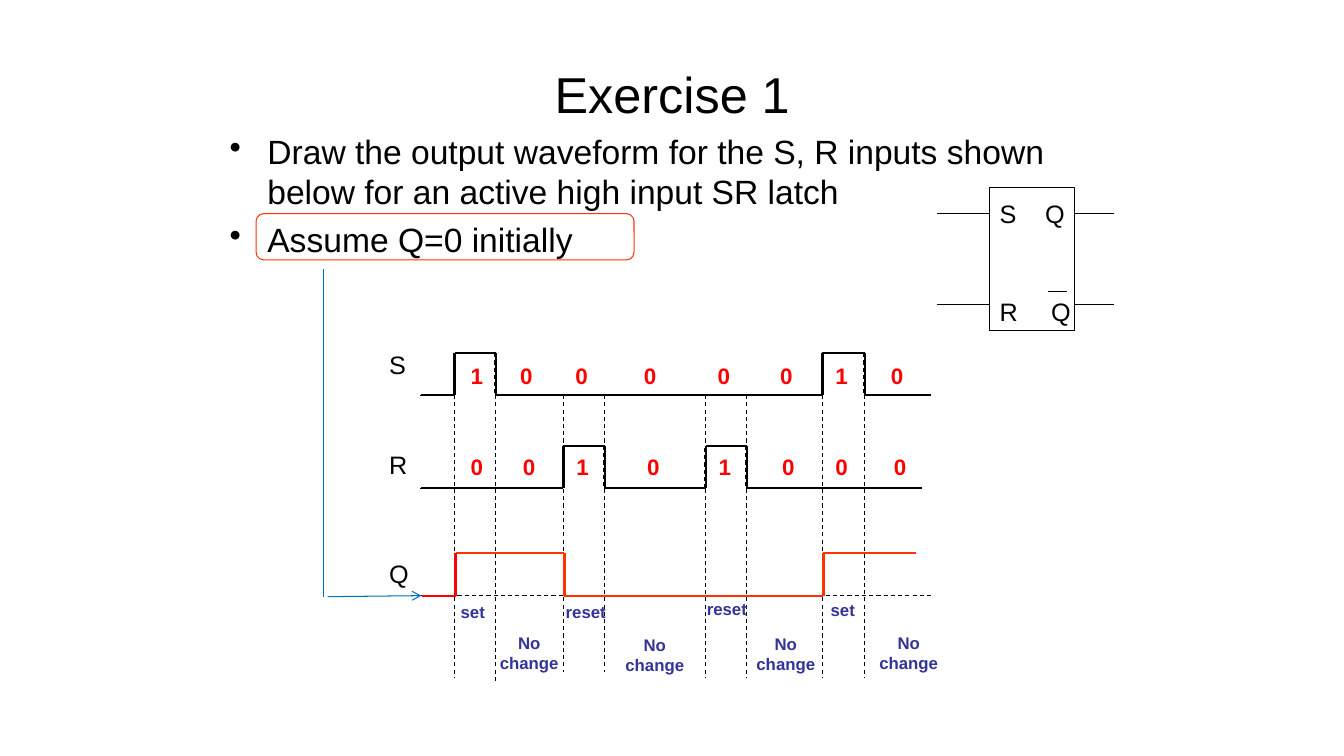
"""Builds the slide with the SR latch waveform exercise."""
from itertools import pairwise

from lxml import etree
from pptx import Presentation
from pptx.dml.color import RGBColor
from pptx.enum import dml, shapes, text
from pptx.oxml import ns
from pptx.util import Pt

BLACK, RED, ORANGE, NAVY, BLUE = "000000", "FF0000", "FF3300", "333399", "0070C0"
PULSE_HEIGHT = 30.2
EDGES = (23.7, 53.2, 101.5, 131, 203, 232.5, 286.5, 316.8)
GUIDE_ENDS = (232.6, 235.4, 228.2, 228.2, 232.6, 232.6, 232.6, 232.6)
INPUTS = (
    ("S", 30.2, "010000010", 364.3, 2.9,
     (28.1, 63.4, 103, 151.9, 204.5, 249.1, 288.7, 328.3)),
    ("R", 96.5, "000101000", 357.8, 1.9,
     (28.1, 65.5, 103.7, 154.1, 205.2, 250.6, 288.7, 330.5)),
)
OUTPUT_BASE, OUTPUT_LEVELS, OUTPUT_END = 173.5, "011000011", 352.8
STATES = (
    ("set", 36.7, 174.2), ("No change", 77, 196.6),
    ("reset", 117.4, 174.2), ("No change", 166.7, 198),
    ("reset", 218.2, 172.1), ("No change", 260.3, 197.3),
    ("set", 301, 172.8), ("No change", 348.1, 196.6),
)


def colour(code):
    """Turn a hex string into a colour."""
    return RGBColor.from_string(code)


def add_line(page, start, end, code=BLACK, weight=0.75, dashed=False, arrow=False):
    """Draw a straight line between two points."""
    line = page.shapes.add_connector(
        shapes.MSO_CONNECTOR.STRAIGHT, *(Pt(value) for value in (*start, *end)))
    line.line.color.rgb = colour(code)
    line.line.width = Pt(weight)
    if dashed:
        line.line.dash_style = dml.MSO_LINE.DASH
    properties = line._element.spPr
    if arrow:
        etree.SubElement(properties.find(ns.qn("a:ln")), ns.qn("a:tailEnd"), type="arrow")
    etree.SubElement(properties, ns.qn("a:effectLst"))


def add_text(page, box, lines, size, code=BLACK, bold=False,
             align=text.PP_ALIGN.LEFT, anchor=text.MSO_ANCHOR.TOP, bullets=False):
    """Place a wrapped text box with one paragraph for each line."""
    frame = page.shapes.add_textbox(*(Pt(value) for value in box)).text_frame
    frame.word_wrap = True
    frame.vertical_anchor = anchor
    frame.text = lines
    for index, para in enumerate(frame.paragraphs):
        para.alignment = align
        if index:
            para.space_before = Pt(5.5)
        if bullets:
            properties = para._p.get_or_add_pPr()
            properties.set("marL", str(Pt(27)))
            properties.set("indent", str(-Pt(27)))
            etree.SubElement(properties, ns.qn("a:buChar"), char="•")
        for span in para.runs:
            span.font.name = "Arial"
            span.font.size = Pt(size)
            span.font.bold = bold
            span.font.color.rgb = colour(code)


def add_outline(page, kind, box, code):
    """Draw an unfilled preset shape."""
    outline = page.shapes.add_shape(kind, *(Pt(value) for value in box))
    outline.shadow.inherit = False
    outline.fill.background()
    outline.line.color.rgb = colour(code)
    outline.line.width = Pt(0.75)
    return outline


def add_question(page, box):
    """Place the title, the task and the frame around the initial state."""
    left, top, width = box
    add_text(page, (left, top, width, 71.3), "Exercise 1", 36,
             align=text.PP_ALIGN.CENTER, anchor=text.MSO_ANCHOR.MIDDLE)
    task = ("Draw the output waveform for the S, R inputs shown below for an active "
            "high input SR latch\nAssume Q=0 initially")
    add_text(page, (left + 0.7, top + 59, width, 131.8), task, 24, bullets=True)
    frame = add_outline(page, shapes.MSO_SHAPE.ROUNDED_RECTANGLE,
                        (left + 26.7, top + 121.6, 270, 33.1), ORANGE)
    frame.adjustments[0] = 0.167


def add_wave(page, left, base, levels, end, code=BLACK, weight=1.5, dashed=False):
    """Draw a square wave that may change level at each edge."""
    stops = [left + stop for stop in (0, *EDGES, end)]
    heights = [base - PULSE_HEIGHT * int(level) for level in levels]
    for (start, stop), height in zip(pairwise(stops), heights):
        add_line(page, (start, height), (stop, height), code, weight, dashed)
    for stop, (before, after) in zip(stops[1:], pairwise(heights)):
        if before != after:
            add_line(page, (stop, before), (stop, after), code, weight, dashed)


def add_timing(page, box):
    """Draw the timing diagram with inputs, output, guides and states."""
    left, top, width = box
    for name, base, levels, end, lift, digit_lefts in INPUTS:
        add_wave(page, left - 0.7, top + base + 0.3, levels, end, weight=0.75, dashed=True)
        add_wave(page, left, top + base, levels, end)
        for digit, offset in zip(levels[1:], digit_lefts):
            add_text(page, (left + offset, top + base - PULSE_HEIGHT + lift, 19, 26.6),
                     digit, 16, RED, True)
    for name, offset in (("S", -5.8), ("R", 65.5), ("Q", 143.3)):
        add_text(page, (left - 30.2, top + offset, 29.5, 28.8), name, 18)

    base = top + OUTPUT_BASE
    add_line(page, (left, base), (left + width, base), dashed=True)
    for edge, end in zip(EDGES, GUIDE_ENDS):
        add_line(page, (left + edge, top + PULSE_HEIGHT),
                 (left + edge, top + end), dashed=True)
    add_wave(page, left + 0.7, base, OUTPUT_LEVELS, OUTPUT_END, ORANGE)
    rise = left + 0.7 + EDGES[0]
    add_line(page, (left + 0.7, base), (rise, base), RED, 1.5)
    add_line(page, (rise, base), (rise, base - PULSE_HEIGHT), RED, 1.5)
    for state, centre, offset in STATES:
        add_text(page, (left + centre - 32.5, top + offset, 65, 36), state, 12,
                 NAVY, True, text.PP_ALIGN.CENTER)


def add_start_arrow(page, box):
    """Lead from the initial state to the start of the output."""
    left, top, width, height = box
    add_line(page, (left, top), (left, top + height), BLUE)
    add_line(page, (left + 3, top + height), (left + width, top + height - 0.7),
             BLUE, arrow=True)


def add_latch(page, box):
    """Draw the latch symbol with its pins."""
    left, top, width, height = box
    pin, body = 37.4, 60.5
    add_outline(page, shapes.MSO_SHAPE.RECTANGLE, (left + pin, top, body, height), BLACK)
    for offset in (18.7, 83.5):
        for start, end in ((0, pin), (pin + body, width)):
            add_line(page, (left + start, top + offset), (left + end, top + offset))
    for name, across, down, align in (
            ("S", 37.4, 4.3, text.PP_ALIGN.LEFT), ("R", 37.4, 74.2, text.PP_ALIGN.LEFT),
            ("Q", 69.8, 4.3, text.PP_ALIGN.RIGHT), ("Q", 74.2, 74.2, text.PP_ALIGN.LEFT)):
        add_text(page, (left + across, top + down, 28.1, 28.8), name, 18, align=align)
    add_line(page, (left + 79.2, top + 74.2), (left + 92.9, top + 74.2))


def main():
    """Build and save the deck."""
    deck = Presentation()
    deck.slide_width, deck.slide_height = Pt(960), Pt(540)
    page = deck.slides.add_slide(deck.slide_layouts[6])
    add_question(page, (156.2, 31, 648))
    add_timing(page, (301, 252, 364.3))
    add_start_arrow(page, (231, 192.2, 70, 234))
    add_latch(page, (669.6, 133.9, 126, 102.2))
    deck.save("out.pptx")


if __name__ == "__main__":
    main()
